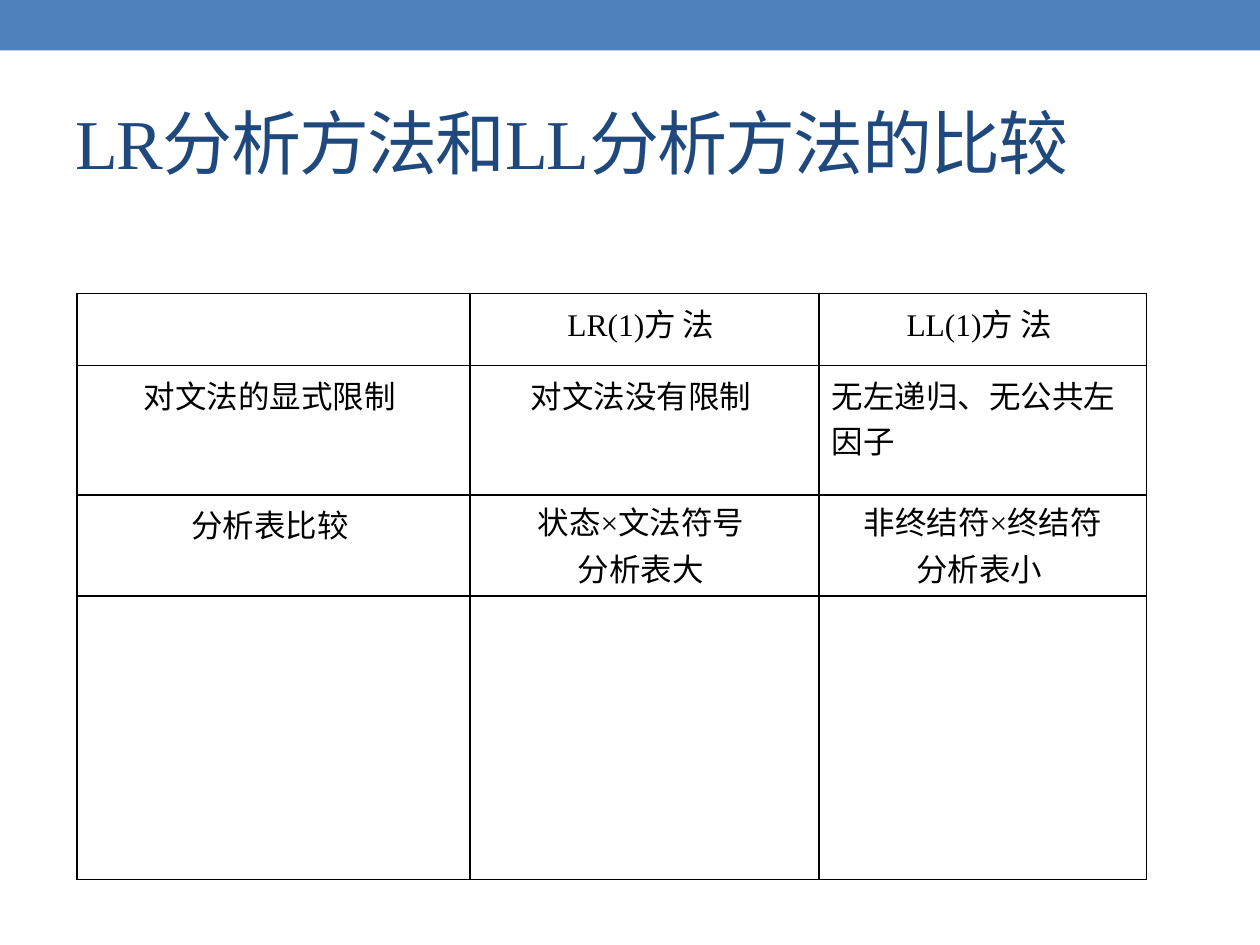
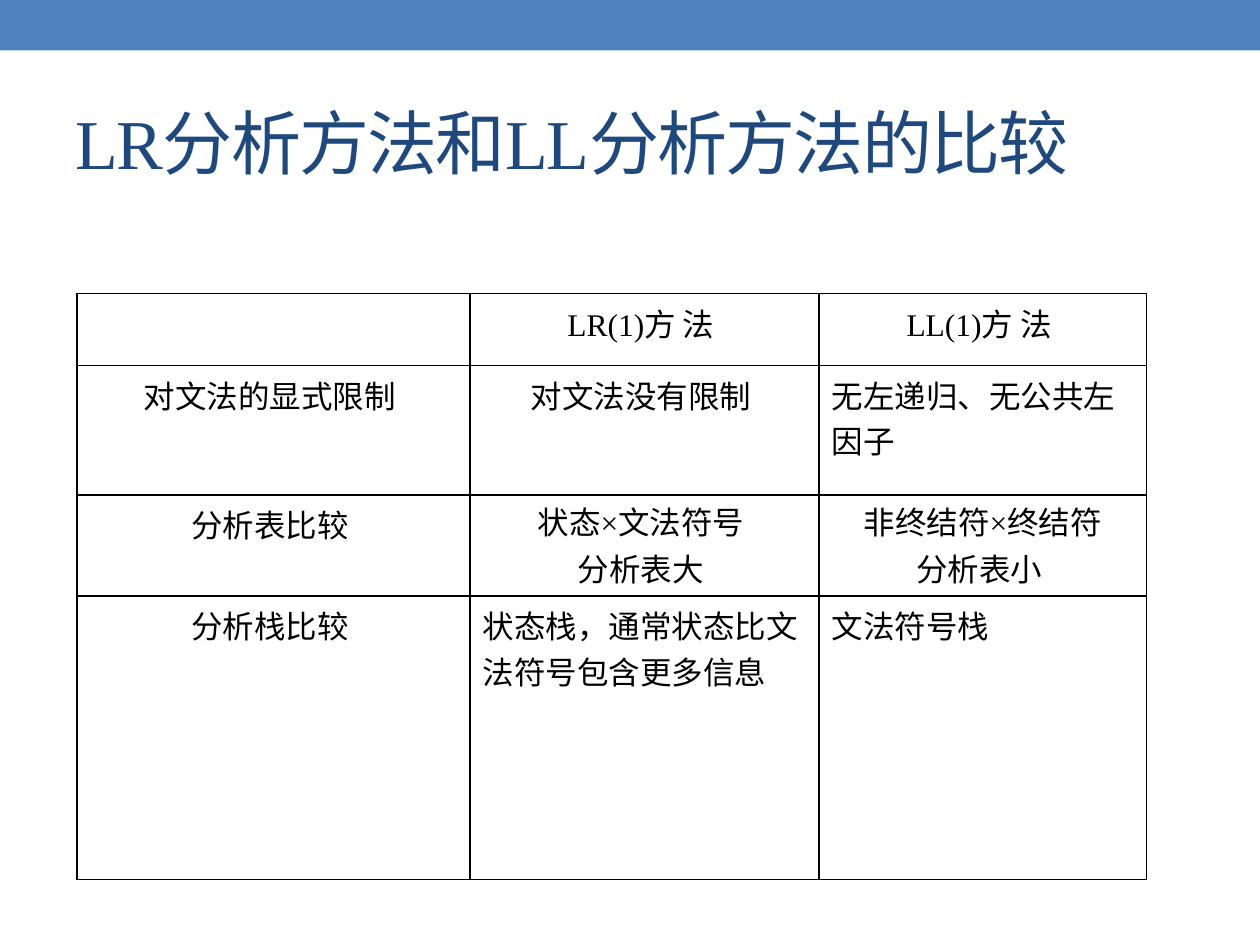
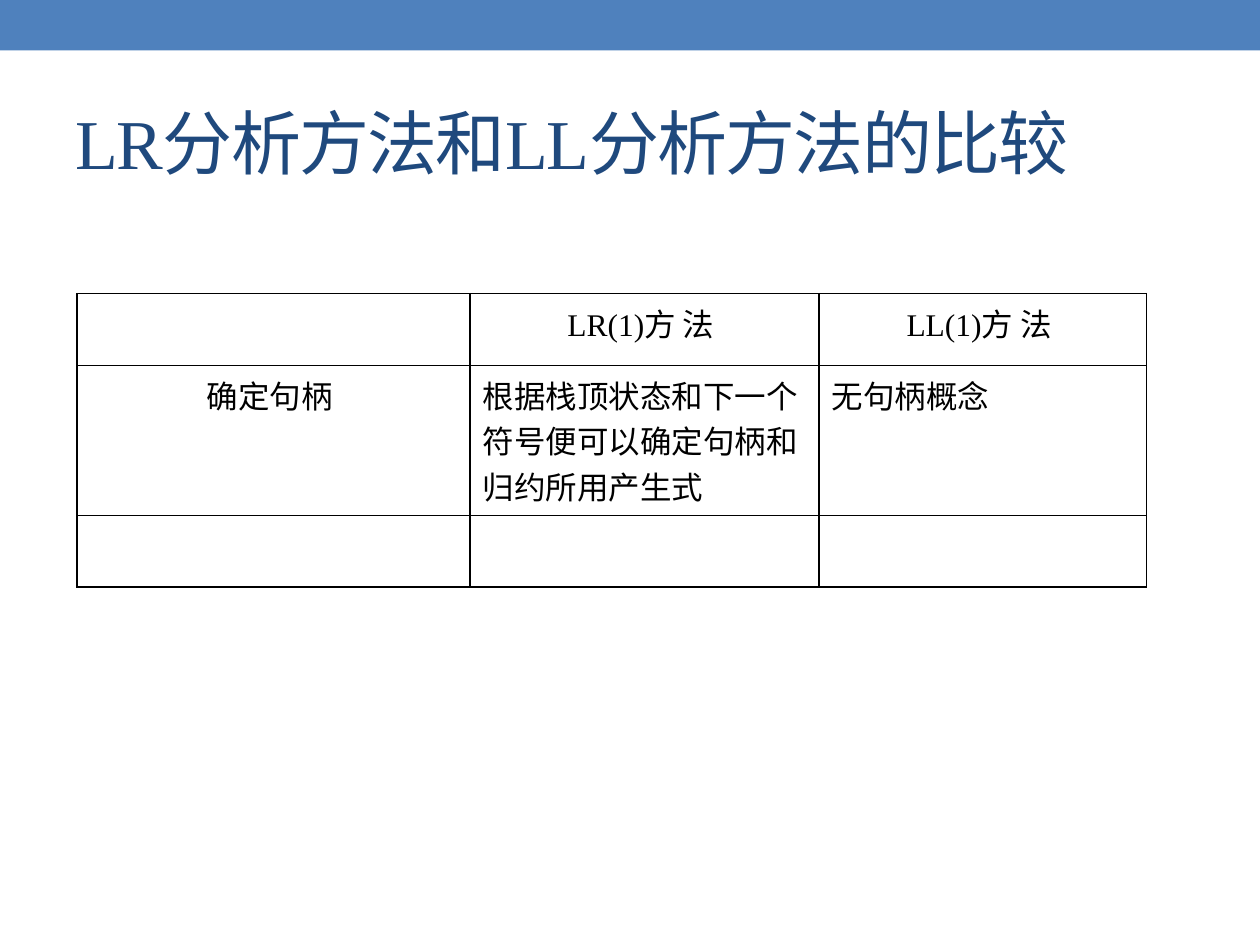
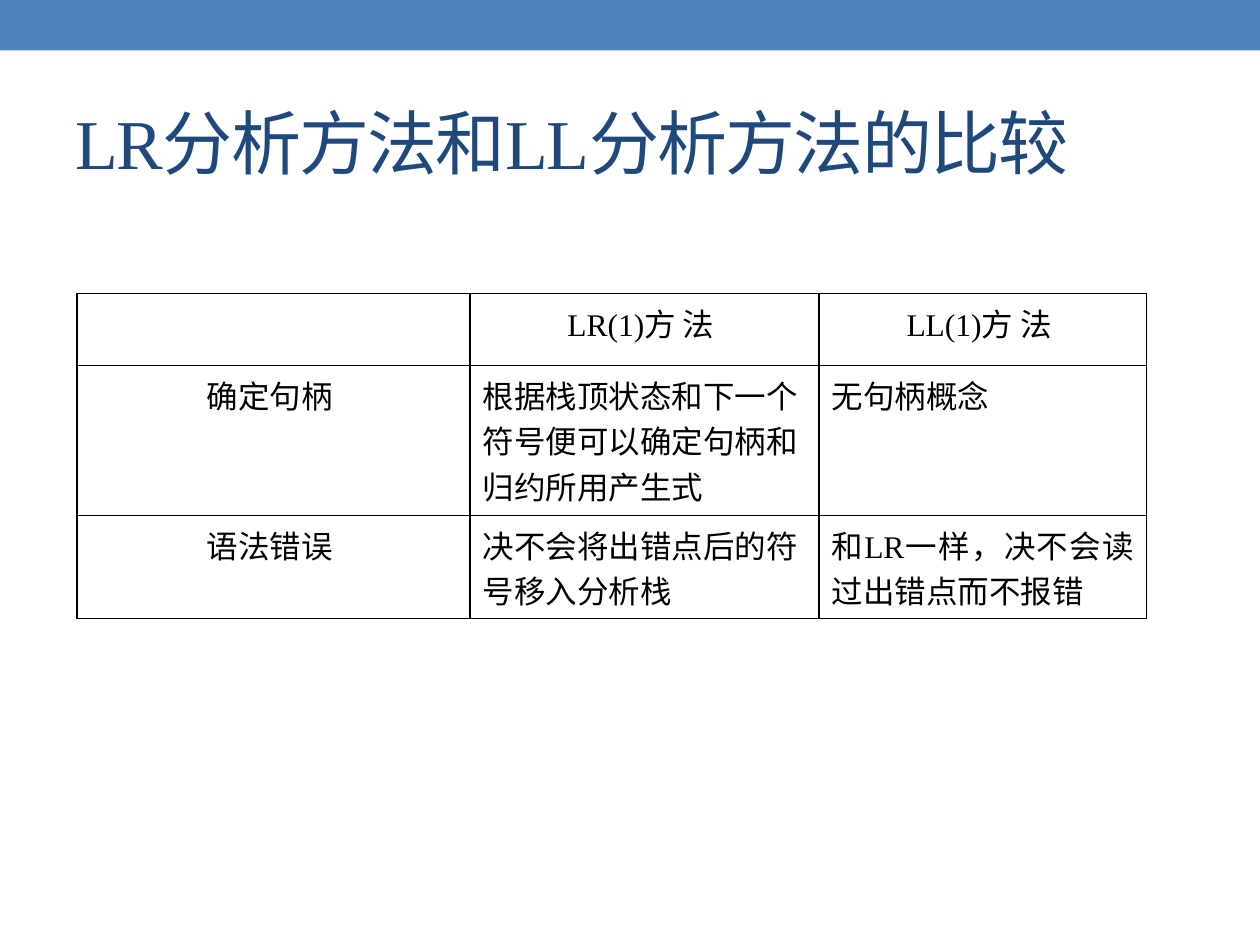
from lxml import etree
from pptx import Presentation
from pptx.dml.color import RGBColor
from pptx.enum import shapes, text
from pptx.oxml import ns
from pptx.util import Inches, Pt

BAND_BLUE = RGBColor(0x4F, 0x81, 0xBD)
TITLE_BLUE = RGBColor(0x1F, 0x49, 0x7D)
BLACK = RGBColor(0, 0, 0)
SERIF = "Times New Roman"
SANS = "Noto Sans CJK SC"
LEFT, CENTER, JUSTIFY = text.PP_ALIGN.LEFT, text.PP_ALIGN.CENTER, text.PP_ALIGN.JUSTIFY

TITLE = "LR分析方法和LL分析方法的比较"
COLUMN_WIDTHS = [3.12, 2.77, 2.6]
MARGINS = {"margin_left": 0.1, "margin_right": 0.1,
           "margin_top": 0.05, "margin_bottom": 0.05}

# Table rows: font, then (alignment, lines) for each cell
BLANK = (LEFT, [])
EMPTY_ROW = (SERIF, [BLANK] * 3)
HEADER = (SERIF, [BLANK, (CENTER, ["LR(1)方 法 "]), (CENTER, ["LL(1)方 法 "])])
GRAMMAR = (SERIF, [(CENTER, ["对文法的显式限制 "]), (CENTER, ["对文法没有限制 "]),
                   (LEFT, ["无左递归、无公共左因子"])])
PARSE_TABLE = (SERIF, [(CENTER, ["分析表比较 "]),
                       (CENTER, ["状态×文法符号 ", "分析表大 "]),
                       (CENTER, ["非终结符×终结符", "分析表小 "])])
STACK = (SERIF, [(CENTER, ["分析栈比较 "]),
                 (LEFT, ["状态栈，通常状态比文法符号包含更多信息"]),
                 (LEFT, ["文法符号栈"])])
HANDLE = (SANS, [(CENTER, ["确定句柄 "]),
                 (LEFT, ["根据栈顶状态和下一个符号便可以确定句柄和归约所用产生式"]),
                 (LEFT, ["无句柄概念"])])
ERRORS = (SERIF, [(CENTER, ["语法错误 "]),
                  (LEFT, ["决不会将出错点后的符号移入分析栈"]),
                  (JUSTIFY, ["和LR一样，决不会读过出错点而不报错 "])])

# Each page: its rows and their heights, tall enough for the wrapped lines
PAGES = [
    ([HEADER, GRAMMAR, PARSE_TABLE, EMPTY_ROW], [0.57, 1.03, 0.8, 2.25]),
    ([HEADER, GRAMMAR, PARSE_TABLE, STACK], [0.57, 1.03, 0.8, 2.25]),
    ([HEADER, HANDLE, EMPTY_ROW], [0.57, 1.19, 0.57]),
    ([HEADER, HANDLE, ERRORS], [0.57, 1.19, 0.82]),
]


def add_span(para, words, font_name, size, color):
    span = para.add_run()
    span.text = words
    for name, value in {"name": font_name, "size": Pt(size)}.items():
        setattr(span.font, name, value)
    span.font.color.rgb = color
    properties = span.font._element
    etree.SubElement(properties, ns.qn("a:ea"), typeface=SANS)
    return properties


def add_borders(cell):
    properties = cell._tc.get_or_add_tcPr()
    for side in ("lnL", "lnR", "lnT", "lnB"):
        line = etree.SubElement(properties, ns.qn("a:" + side), w=str(Pt(1)))
        fill = etree.SubElement(line, ns.qn("a:solidFill"))
        etree.SubElement(fill, ns.qn("a:srgbClr"), val=str(BLACK))


deck = Presentation()
deck.slide_width, deck.slide_height = Inches(10), Inches(7.5)

for rows, heights in PAGES:
    page = deck.slides.add_slide(deck.slide_layouts[6])

    # Top band
    band = page.shapes.add_shape(shapes.MSO_SHAPE.RECTANGLE, 0, 0, Inches(10), Inches(0.4))
    band.shadow.inherit = False
    band.fill.solid()
    band.fill.fore_color.rgb = BAND_BLUE
    band.line.fill.background()

    # Title
    box = page.shapes.add_textbox(Inches(0.5), Inches(0.58), Inches(9), Inches(1.08))
    frame = box.text_frame
    for name, value in {"word_wrap": True, "vertical_anchor": text.MSO_ANCHOR.MIDDLE}.items():
        setattr(frame, name, value)
    add_span(frame.paragraphs[0], TITLE, SERIF, 40, TITLE_BLUE).set("spc", "-100")

    # Comparison table
    table = page.shapes.add_table(len(rows), len(COLUMN_WIDTHS), Inches(0.61), Inches(2.33),
                                  Inches(sum(COLUMN_WIDTHS)), Inches(sum(heights))).table
    table.first_row = table.horz_banding = False
    for column, width in zip(table.columns, COLUMN_WIDTHS):
        column.width = Inches(width)
    for row, height, (font_name, entries) in zip(table.rows, heights, rows):
        row.height = Inches(height)
        for cell, (alignment, lines) in zip(row.cells, entries):
            add_borders(cell)
            cell.fill.background()
            for name, value in MARGINS.items():
                setattr(cell, name, Inches(value))
            for index, words in enumerate(lines):
                para = cell.text_frame.paragraphs[0]
                if index:
                    para = cell.text_frame.add_paragraph()
                    para.space_before = Pt(3.6)
                para.alignment = alignment
                if len(lines) > 1:
                    para.line_spacing = 0.9
                add_span(para, words, font_name, 18, BLACK)

deck.save("out.pptx")
